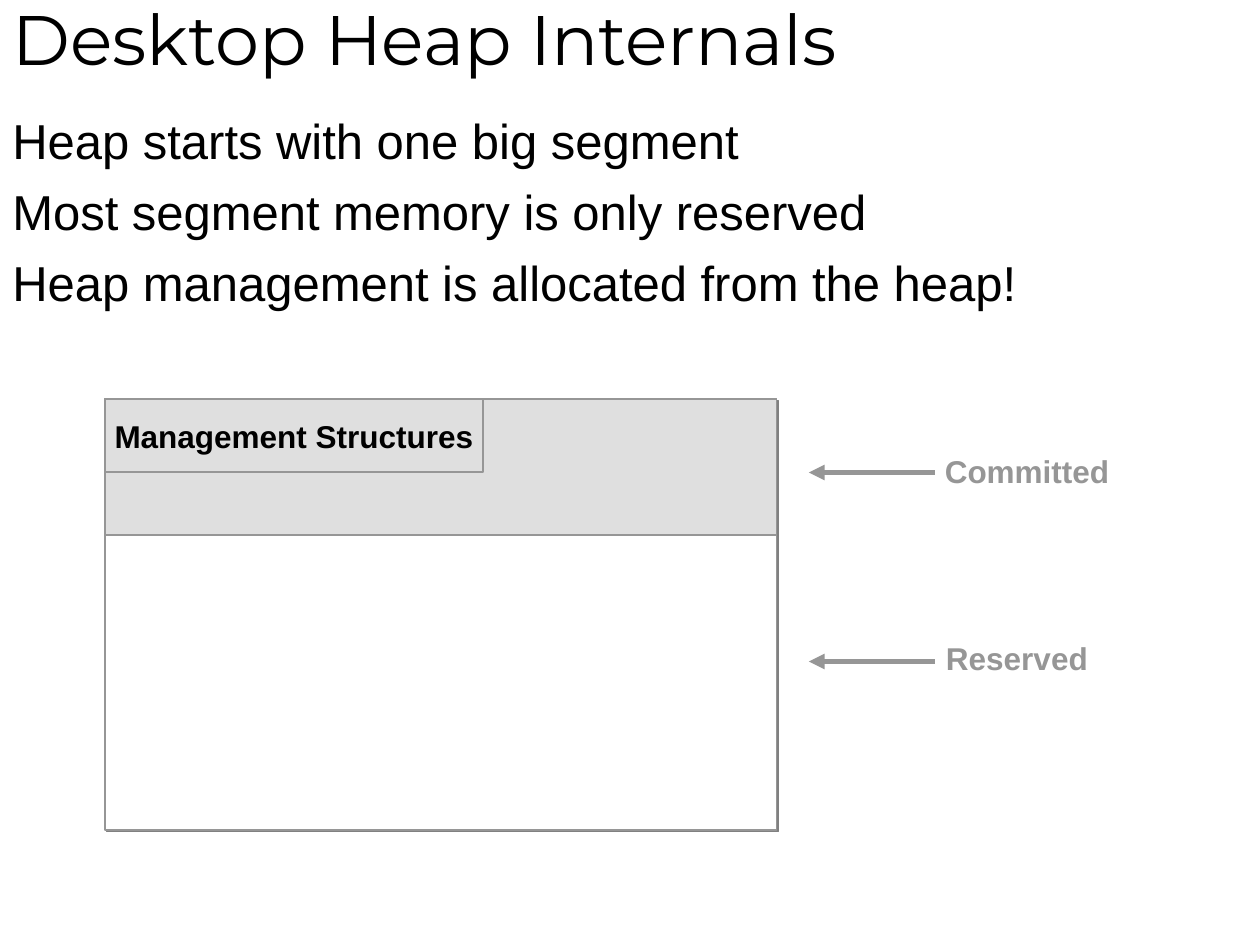
from lxml.etree import SubElement
from pptx import Presentation
from pptx.dml.color import RGBColor
from pptx.enum.shapes import MSO_CONNECTOR, MSO_SHAPE
from pptx.enum.text import MSO_ANCHOR, MSO_AUTO_SIZE, PP_ALIGN
from pptx.oxml.ns import qn
from pptx.util import Inches, Pt

COLORS = {"black": "000000", "white": "FFFFFF", "gray": "969696",
          "light": "C0C0C0", "shade": "808080"}

deck = Presentation()
deck.slide_width, deck.slide_height = Inches(10), Inches(7.5)
slide = deck.slides.add_slide(deck.slide_layouts[6])
shapes = slide.shapes


def block(width, height, fill=None, weight=0.75):
    """Add a rectangle that starts at the top left of the heap segment."""
    rect = shapes.add_shape(MSO_SHAPE.RECTANGLE, Inches(5 / 6), Inches(19 / 6),
                            Inches(width), Inches(height))
    rect.shadow.inherit = False
    if fill:
        rect.fill.solid()
        rect.fill.fore_color.rgb = RGBColor.from_string(COLORS[fill])
    else:
        rect.fill.background()
    rect.line.color.rgb = RGBColor.from_string(COLORS["gray"])
    rect.line.width = Pt(weight)
    return rect


def write(shape, lines, size, color="black", face="Arial", bold=False, wrap=True):
    frame = shape.text_frame
    frame.word_wrap = wrap
    frame.text = "\n".join(lines)
    for par in frame.paragraphs:
        par.font.size = Pt(size)
        par.font.name = face
        par.font.bold = bold
        par.font.color.rgb = RGBColor.from_string(COLORS[color])
    return frame


# Segment, with its committed part on top
segment = block(5.33, 3.42, "white")
effects = segment._element.spPr.find(qn("a:effectLst"))
shadow = SubElement(effects, qn("a:outerShdw"), dist=str(Pt(1.4)),
                    dir="2700000", algn="ctr", rotWithShape="0")
SubElement(shadow, qn("a:srgbClr"), val=COLORS["shade"])

used = block(5.33, 1.08, "light")
tint = used._element.spPr.find(qn("a:solidFill")).find(qn("a:srgbClr"))
SubElement(tint, qn("a:alpha"), val="50000")

# Title and points
title = shapes.add_textbox(0, Inches(-0.08), Inches(10), Inches(0.75))
frame = write(title, ["Desktop Heap Internals"], 40, face="Montserrat")
frame.vertical_anchor = MSO_ANCHOR.MIDDLE

body = shapes.add_textbox(0, Inches(0.83), Inches(10), Inches(6.17))
frame = write(body, ["Heap starts with one big segment",
                     "Most segment memory is only reserved",
                     "Heap management is allocated from the heap!"], 28)
for par in frame.paragraphs[1:]:
    par.space_before = Pt(7)

# Management structures
admin = block(3, 0.58, weight=1)
frame = write(admin, ["Management Structures"], 18, bold=True, wrap=False)
frame.vertical_anchor = MSO_ANCHOR.MIDDLE
frame.paragraphs[0].alignment = PP_ALIGN.CENTER

# Labels with arrows
for name, mid, left, top, width in (("Committed", 3.75, 7.4, 3.54, 1.55),
                                    ("Reserved", 5.25, 7.41, 5.02, 1.37)):
    arrow = shapes.add_connector(MSO_CONNECTOR.STRAIGHT, Inches(6.42), Inches(mid),
                                 Inches(7.42), Inches(mid))
    arrow.line.color.rgb = RGBColor.from_string(COLORS["gray"])
    arrow.line.width = Pt(3)
    SubElement(arrow.line._get_or_add_ln(), qn("a:headEnd"), type="triangle")
    SubElement(arrow._element.spPr, qn("a:effectLst"))
    label = shapes.add_textbox(Inches(left), Inches(top), Inches(width), Inches(0.4))
    frame = write(label, [name], 18, "gray", bold=True, wrap=False)
    frame.auto_size = MSO_AUTO_SIZE.SHAPE_TO_FIT_TEXT

deck.save("out.pptx")
